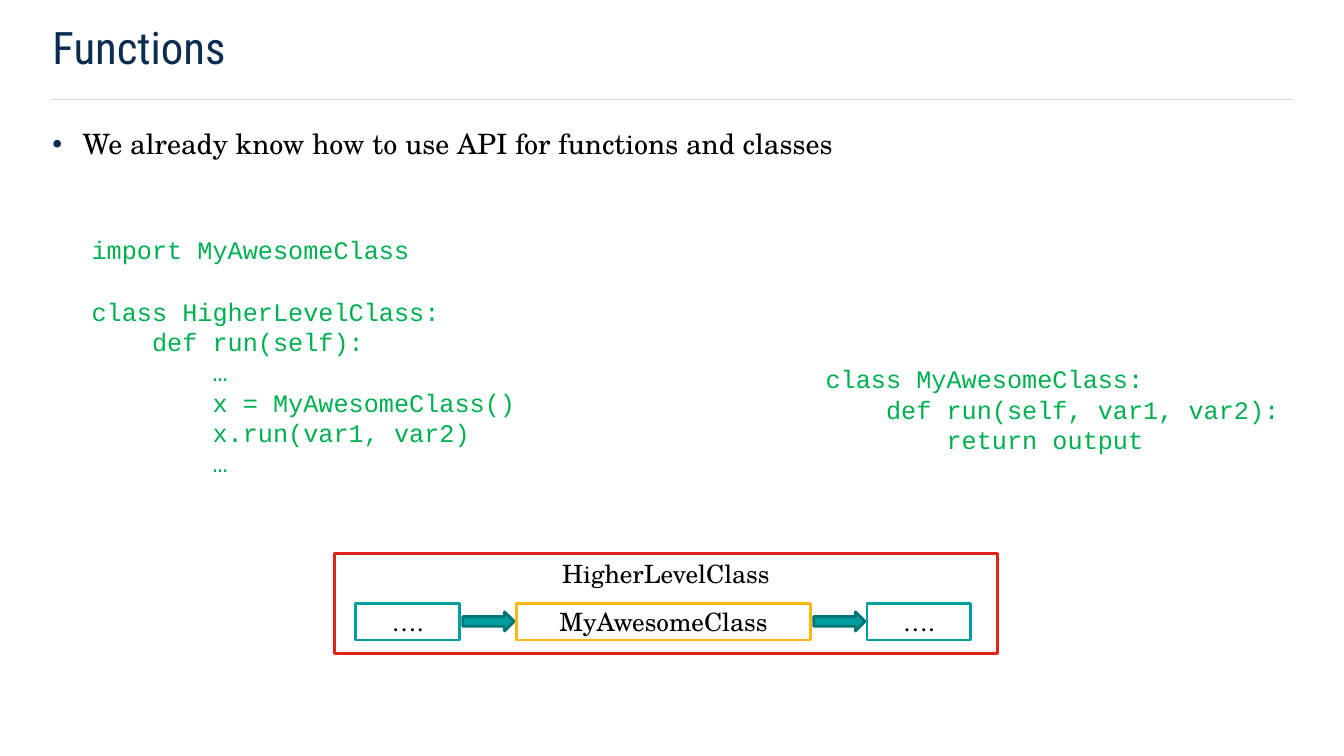
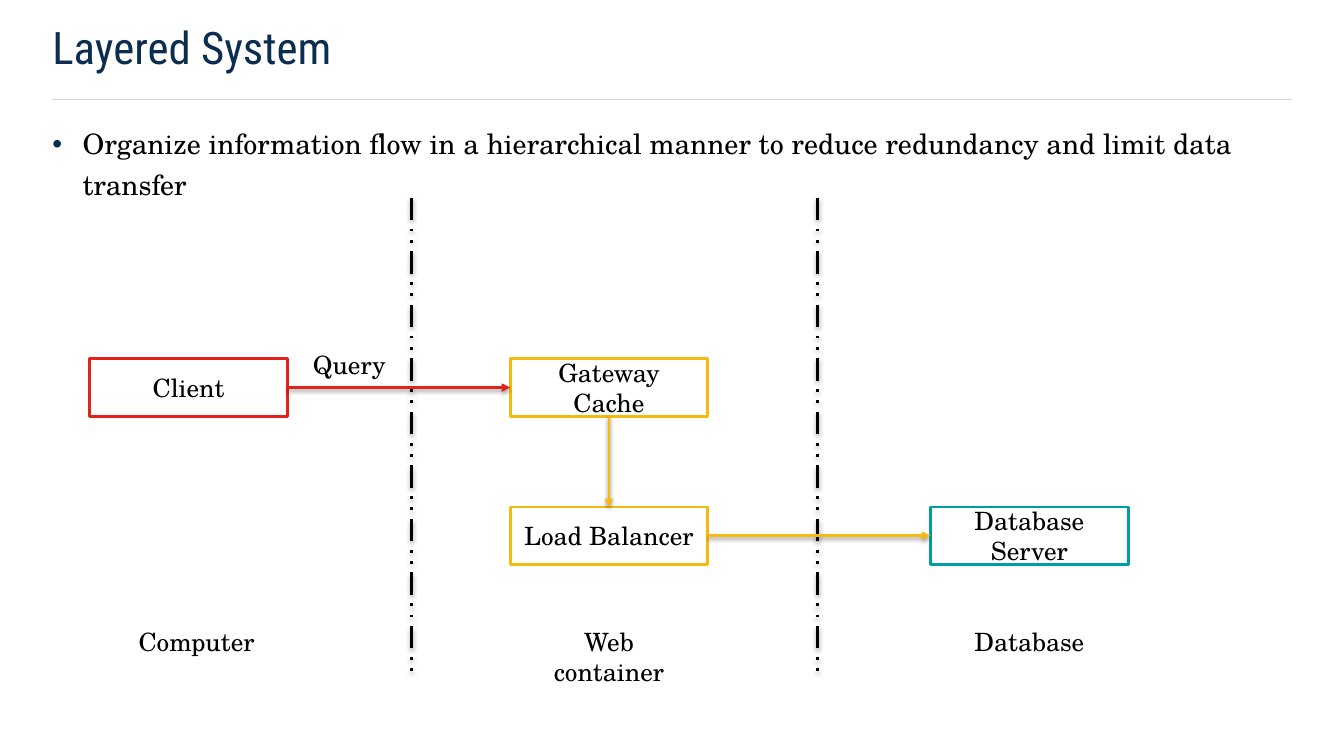
from lxml import etree
from pptx import Presentation
from pptx.dml.color import RGBColor
from pptx.enum.dml import MSO_LINE
from pptx.enum.shapes import MSO_CONNECTOR, MSO_SHAPE
from pptx.enum.text import MSO_ANCHOR, MSO_AUTO_SIZE, PP_ALIGN
from pptx.oxml.ns import qn
from pptx.util import Pt

PX = 9144
TITLE_ONLY = 5
LEFT, CENTER = PP_ALIGN.LEFT, PP_ALIGN.CENTER
TOP, MIDDLE = MSO_ANCHOR.TOP, MSO_ANCHOR.MIDDLE
FIXED, GROW = MSO_AUTO_SIZE.NONE, MSO_AUTO_SIZE.SHAPE_TO_FIT_TEXT
RECTANGLE, RIGHT_ARROW = MSO_SHAPE.RECTANGLE, MSO_SHAPE.RIGHT_ARROW
STRAIGHT = MSO_CONNECTOR.STRAIGHT
DASH_DOT_DOT = MSO_LINE.DASH_DOT_DOT
SIDE_TOP, SIDE_LEFT, SIDE_BOTTOM, SIDE_RIGHT = range(4)

NAVY, RULE_GREY, BLACK, WHITE = "0A2D50", "CDD7DC", "000000", "FFFFFF"
RED, YELLOW, TEAL, DARK_TEAL, GREEN = "E2231A", "F5B90F", "009EA0", "007576", "00B050"

HEADING = (NAVY, {"name": "Roboto Condensed", "size": Pt(32), "bold": False})
POINT = (BLACK, {"name": "TeX Gyre Schola", "size": Pt(20)})
LABEL = (BLACK, {"name": "TeX Gyre Schola", "size": Pt(18)})
CODE = (GREEN, {"name": "Courier New", "size": Pt(18)})
NO_INSETS = dict.fromkeys(("margin_left", "margin_top", "margin_right", "margin_bottom"), 0)


def rgb(value):
    return RGBColor.from_string(value)


def px(*lengths):
    return [length * PX for length in lengths]


def apply(target, values):
    for name, value in values.items():
        setattr(target, name, value)


def add_xml(parent, tag, **attributes):
    return etree.SubElement(parent, qn(tag), {k: str(v) for k, v in attributes.items()})


class Deck:
    def __init__(self):
        self.presentation = Presentation()
        apply(self.presentation, {"slide_width": 1333 * PX, "slide_height": 750 * PX})

    def new_slide(self, heading, point):
        layout = self.presentation.slide_layouts[TITLE_ONLY]
        self.slide = self.presentation.slides.add_slide(layout)
        self.line((52, 99), (1281, 99), RULE_GREY, width=1, shadow=False)
        title = self.slide.shapes.title
        apply(title, dict(zip(("left", "top", "width", "height"), px(52, 20, 1228, 79))))
        self.fill_text(title, [heading], HEADING, LEFT, **NO_INSETS, vertical_anchor=TOP)
        self.bullet(point)

    def fill_text(self, holder, lines, style, align, **frame_format):
        frame = holder.text_frame
        apply(frame, {"auto_size": FIXED, "word_wrap": True, **frame_format})
        color, font_format = style
        for number, line in enumerate(lines):
            paragraph = frame.add_paragraph() if number else frame.paragraphs[0]
            paragraph.alignment = align
            run = paragraph.add_run()
            run.text = line
            apply(run.font, font_format)
            run.font.color.rgb = rgb(color)
        return frame

    def text(self, at, lines, style=LABEL, align=CENTER, **frame_format):
        box = self.slide.shapes.add_textbox(*px(*at))
        return self.fill_text(box, lines, style, align, **{"auto_size": GROW, **frame_format})

    def bullet(self, point):
        frame = self.text((52, 119, 1228, 531), [point], POINT, LEFT,
                          auto_size=FIXED, **NO_INSETS)
        paragraph = frame.paragraphs[0]
        paragraph.line_spacing = 1.2
        properties = paragraph._p.get_or_add_pPr()
        properties.set("marL", str(30 * PX))
        properties.set("indent", str(-30 * PX))
        add_xml(add_xml(properties, "a:buClr"), "a:srgbClr", val=NAVY)
        add_xml(properties, "a:buFont", typeface="Arial")
        add_xml(properties, "a:buChar", char="•")

    def code(self, at, lines):
        self.text(at, lines, CODE, LEFT)

    def shape(self, at, outline, fill=WHITE, kind=RECTANGLE):
        shape = self.slide.shapes.add_shape(kind, *px(*at))
        shape.shadow.inherit = False
        shape.fill.solid()
        shape.fill.fore_color.rgb = rgb(fill)
        shape.line.color.rgb = rgb(outline)
        shape.line.width = Pt(2)
        return shape

    def box(self, at, label, outline, anchor=MIDDLE):
        box = self.shape(at, outline)
        self.fill_text(box, [label], LABEL, CENTER, vertical_anchor=anchor)
        return box

    def line(self, start, end, color, width=2, dash=None, shadow=True):
        line = self.slide.shapes.add_connector(STRAIGHT, *px(*start, *end))
        line.line.color.rgb = rgb(color)
        apply(line.line, {"width": Pt(width), "dash_style": dash})
        effects = add_xml(line._element.spPr, "a:effectLst")
        if shadow:
            outer = add_xml(effects, "a:outerShdw", blurRad=Pt(3.1), dist=Pt(1.6),
                            dir=5400000, rotWithShape=0)
            tint = add_xml(outer, "a:srgbClr", val=BLACK)
            add_xml(tint, "a:alpha", val=38000)
        return line

    def flow(self, source, source_side, target, target_side, color):
        arrow = self.line((0, 0), (0, 0), color)
        arrow.begin_connect(source, source_side)
        arrow.end_connect(target, target_side)
        add_xml(arrow._element.spPr.find(qn("a:ln")), "a:tailEnd", type="triangle")


def functions_slide(deck):
    deck.new_slide("Functions", "We already know how to use API for functions and classes")
    deck.code((809, 356, 472, 101), [
        "class MyAwesomeClass:",
        "    def run(self, var1, var2):",
        "        return output",
    ])
    deck.code((81, 228, 472, 40), ["import MyAwesomeClass"])
    deck.code((81, 289, 472, 192), [
        "class HigherLevelClass:",
        "    def run(self):",
        "        …",
        "        x = MyAwesomeClass()",
        "        x.run(var1, var2)",
        "        …",
    ])
    deck.box((332, 549, 657, 99), "HigherLevelClass", RED, TOP)
    stages = [("….", 103, TEAL), ("MyAwesomeClass", 292, YELLOW), ("….", 103, TEAL)]
    left, gap = 353, 56
    for number, (label, width, outline) in enumerate(stages):
        if number:
            deck.shape((left - gap + 3, 607, 51, 19), DARK_TEAL, TEAL, RIGHT_ARROW)
        deck.box((left, 599, width, 36), label, outline)
        left += width + gap


def layers_slide(deck):
    deck.new_slide("Layered System", "Organize information flow in a hierarchical manner "
                   "to reduce redundancy and limit data transfer")
    computer, container, database = (89 + 417 * column for column in range(3))
    upper, lower = 356, 503
    for divider in (408, 811):
        deck.line((divider, 196), (divider, 673), BLACK, dash=DASH_DOT_DOT)

    client, gateway, balancer, server = (
        deck.box((left, top, 196, 57), label, outline)
        for left, top, label, outline in (
            (computer, upper, "Client", RED),
            (container, upper, "Gateway Cache", YELLOW),
            (container, lower, "Load Balancer", YELLOW),
            (database, lower, "Database Server", TEAL),
        )
    )
    deck.flow(client, SIDE_RIGHT, gateway, SIDE_LEFT, RED)
    deck.flow(gateway, SIDE_BOTTOM, balancer, SIDE_TOP, YELLOW)
    deck.flow(balancer, SIDE_RIGHT, server, SIDE_LEFT, YELLOW)

    deck.text((285, 342, 123, 40), ["Query"])
    for left, width, layer in ((126, 138, "Computer"),
                               (container + 6, 184, "Web container"),
                               (database + 6, 184, "Database")):
        deck.text((left, 616, width, 40), [layer])


def main():
    deck = Deck()
    functions_slide(deck)
    layers_slide(deck)
    deck.presentation.save("out.pptx")


if __name__ == "__main__":
    main()
